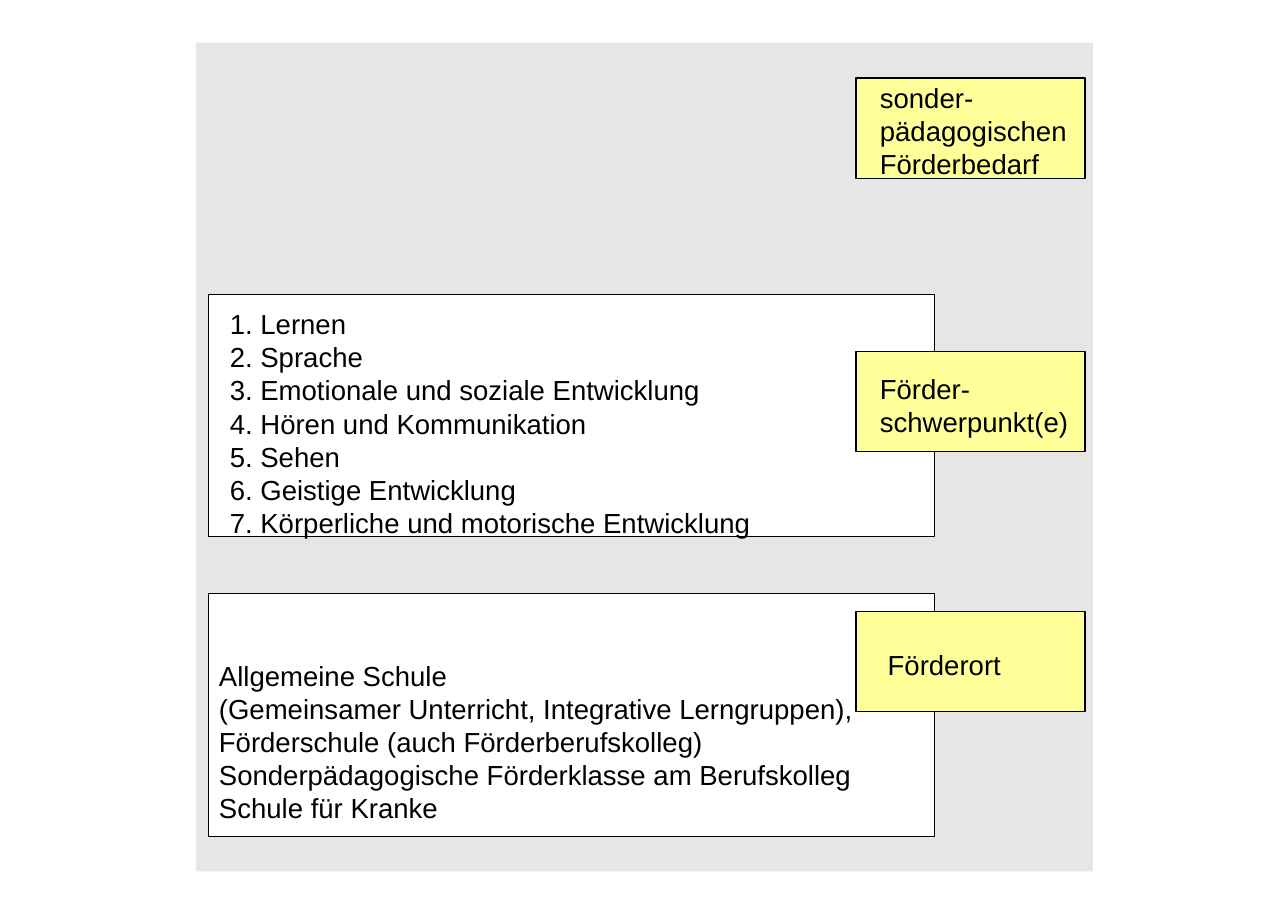
import pptx
import pptx.dml.color
import pptx.enum.shapes
import pptx.enum.text
import pptx.util

Cm = pptx.util.Cm

COLORS = {"panel": "E6E6E6", "list": "FFFFFF", "label": "FFFF99", "ink": "000000"}
FONT = "Arial"
PANEL = (4.52, 0.99, 20.68, 19.1)
LIST_LEFT, LIST_SIZE = 4.8, (16.76, 5.59)
LABEL_LEFT, LABEL_SIZE = 19.74, (5.28, 2.31)

FOCUS_AREAS = [
    "Lernen",
    "Sprache",
    "Emotionale und soziale Entwicklung",
    "Hören und Kommunikation",
    "Sehen",
    "Geistige Entwicklung",
    "Körperliche und motorische Entwicklung",
]
PLACES = [
    "Allgemeine Schule",
    "(Gemeinsamer Unterricht, Integrative Lerngruppen),",
    "Förderschule (auch Förderberufskolleg)",
    "Sonderpädagogische Förderklasse am Berufskolleg",
    "Schule für Kranke",
]
LISTS = [
    (6.78, [f"{n}. {area}" for n, area in enumerate(FOCUS_AREAS, 1)], (5.05, 6.96, 12.98, 5.23)),
    (13.69, PLACES, (4.8, 15.06, 15.75, 3.94)),
]
LABELS = [
    (1.8, ["sonder-pädagogischen", "Förderbedarf"], (20.04, 1.75, 4.93, 2.39)),
    (8.1, ["Förder-schwerpunkt(e)"], (20.04, 8.46, 4.93, 1.68)),
    (14.1, ["Förderort"], (20.22, 14.81, 3.3, 0.97)),
]


def rgb(name):
    """Return the named colour."""
    return pptx.dml.color.RGBColor.from_string(COLORS[name])


def add_box(s, at, fill, outlined=True):
    """Draw a filled rectangle, with a hairline if outlined."""
    sp = s.shapes.add_shape(pptx.enum.shapes.MSO_SHAPE.RECTANGLE, *map(Cm, at))
    sp.shadow.inherit = False
    sp.fill.solid()
    sp.fill.fore_color.rgb = rgb(fill)
    if outlined:
        sp.line.color.rgb = rgb("ink")
        sp.line.width = pptx.util.Pt(0)
    else:
        sp.line.fill.background()


def add_text(s, lines, at, size=18, color="ink"):
    """Write one paragraph per line in a text box."""
    tf = s.shapes.add_textbox(*map(Cm, at)).text_frame
    tf.word_wrap = True
    tf.auto_size = pptx.enum.text.MSO_AUTO_SIZE.SHAPE_TO_FIT_TEXT
    for i, line in enumerate(lines):
        p = tf.add_paragraph() if i else tf.paragraphs[0]
        r = p.add_run()
        r.text = line
        r.font.name = FONT
        r.font.size = pptx.util.Pt(size)
        r.font.color.rgb = rgb(color)


def main():
    """Build and save the slide."""
    prs = pptx.Presentation()
    prs.slide_width, prs.slide_height = Cm(29.7), Cm(21)
    s = prs.slides.add_slide(prs.slide_layouts[6])
    add_box(s, PANEL, "panel", outlined=False)
    for rows, left, size, fill in (
        (LISTS, LIST_LEFT, LIST_SIZE, "list"),
        (LABELS, LABEL_LEFT, LABEL_SIZE, "label"),
    ):
        for top, lines, text_at in rows:
            add_box(s, (left, top, *size), fill)
            add_text(s, lines, text_at)
    prs.save("out.pptx")


if __name__ == "__main__":
    main()
